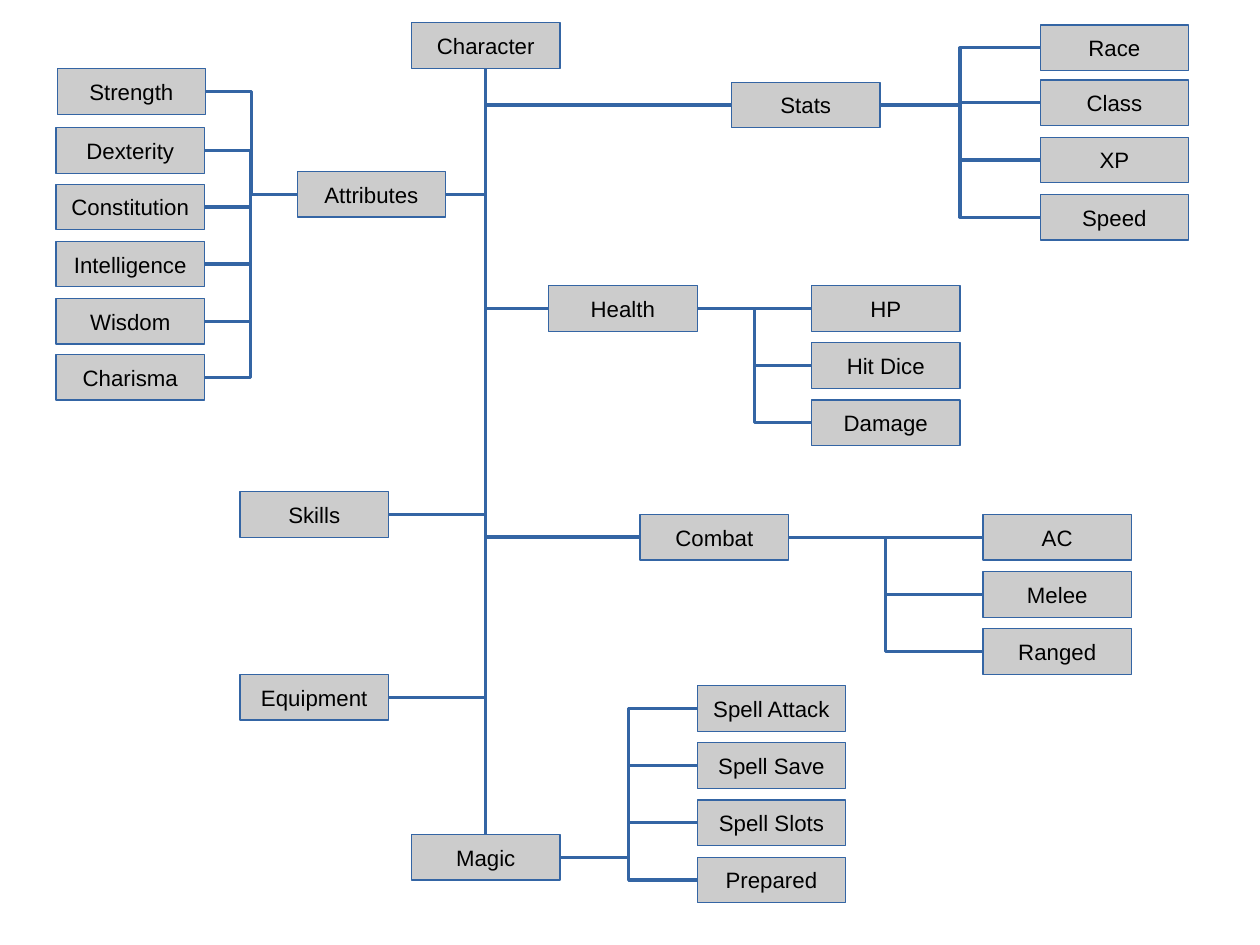
from pptx import Presentation
from pptx.dml.color import RGBColor
from pptx.enum import shapes, text
from pptx.oxml.ns import qn
from pptx.util import Pt
from lxml import etree

GREY = RGBColor(0xCC, 0xCC, 0xCC)
BLUE = RGBColor(0x34, 0x65, 0xA4)
BLACK = RGBColor(0, 0, 0)
BOX_W, BOX_H, ROW = 93.6, 28.8, 36
TOP, LEFT, BOTTOM, RIGHT = range(4)  # connection sites of a rectangle
FONT = {"name": "Arial", "size": Pt(14)}
FRAME = {"word_wrap": False, "vertical_anchor": text.MSO_ANCHOR.MIDDLE}


def column(left, top, *labels):
    """Place labels one row apart, as (label, left, top)."""
    return [(label, left, top + i * ROW) for i, label in enumerate(labels)]


ROOT = ("Character", 259.2, 14.4)
MAGIC = ("Magic", 259.2, 525.6)
SPELLS = column(439.2, 432, "Spell Attack", "Spell Save", "Spell Slots", "Prepared")
BRANCHES = [
    (("Attributes", 187.2, 108),
     column(36, 43.2, "Strength") + column(35.3, 80.6, "Dexterity")
     + column(35.3, 116, "Constitution", "Intelligence", "Wisdom")
     + column(35.3, 223.2, "Charisma")),
    (("Stats", 460.8, 51.8),
     column(655.2, 15.8, "Race") + column(655.2, 50.4, "Class", "XP", "Speed")),
    (("Health", 345.6, 180), column(511.2, 180, "HP", "Hit Dice", "Damage")),
    (("Skills", 151.2, 309.6), []),
    (("Combat", 403.2, 324), column(619.2, 324, "AC", "Melee", "Ranged")),
    (("Equipment", 151.2, 424.8), []),
]


def set_all(obj, values):
    for name, value in values.items():
        setattr(obj, name, value)


def add_box(slide, label, left, top):
    sp = slide.shapes.add_shape(shapes.MSO_SHAPE.RECTANGLE,
                                Pt(left), Pt(top), Pt(BOX_W), Pt(BOX_H))
    sp.shadow.inherit = False
    sp.fill.solid()
    sp.fill.fore_color.rgb = GREY
    sp.line.color.rgb = BLUE
    sp.line.width = Pt(0)
    tf = sp.text_frame
    set_all(tf, FRAME)
    p = tf.paragraphs[0]
    p.alignment = text.PP_ALIGN.CENTER
    r = p.add_run()
    r.text = label
    set_all(r.font, FONT)
    r.font.color.rgb = BLACK
    return sp


def link(slide, start, start_site, end, end_site, kind=shapes.MSO_CONNECTOR.ELBOW):
    cxn = slide.shapes.add_connector(kind, 0, 0, 0, 0)
    cxn.begin_connect(start, start_site)
    cxn.end_connect(end, end_site)
    cxn.line.color.rgb = BLUE
    cxn.line.width = Pt(0)
    etree.SubElement(cxn._element.spPr, qn("a:effectLst"))
    return cxn


def link_to_trunk(slide, box, root):
    """Run level from the box to the trunk, then up to the root."""
    site = RIGHT if box.left < root.left else LEFT
    cxn = link(slide, box, site, root, BOTTOM)
    cxn._element.spPr.find(qn("a:prstGeom")).set("prst", "bentConnector2")


def add_children(slide, parent, children):
    for child in children:
        box = add_box(slide, *child)
        sites = (LEFT, RIGHT) if box.left < parent.left else (RIGHT, LEFT)
        kind = shapes.MSO_CONNECTOR.ELBOW
        if box.top == parent.top:
            kind = shapes.MSO_CONNECTOR.STRAIGHT
        link(slide, parent, sites[0], box, sites[1], kind)


def main():
    prs = Presentation()
    prs.slide_width, prs.slide_height = Pt(793.7), Pt(595.3)
    slide = prs.slides.add_slide(prs.slide_layouts[6])

    root = add_box(slide, *ROOT)
    for branch, children in BRANCHES:
        box = add_box(slide, *branch)
        link_to_trunk(slide, box, root)
        add_children(slide, box, children)

    magic = add_box(slide, *MAGIC)
    link(slide, magic, TOP, root, BOTTOM, shapes.MSO_CONNECTOR.STRAIGHT)
    add_children(slide, magic, SPELLS)

    prs.save("out.pptx")


if __name__ == "__main__":
    main()
